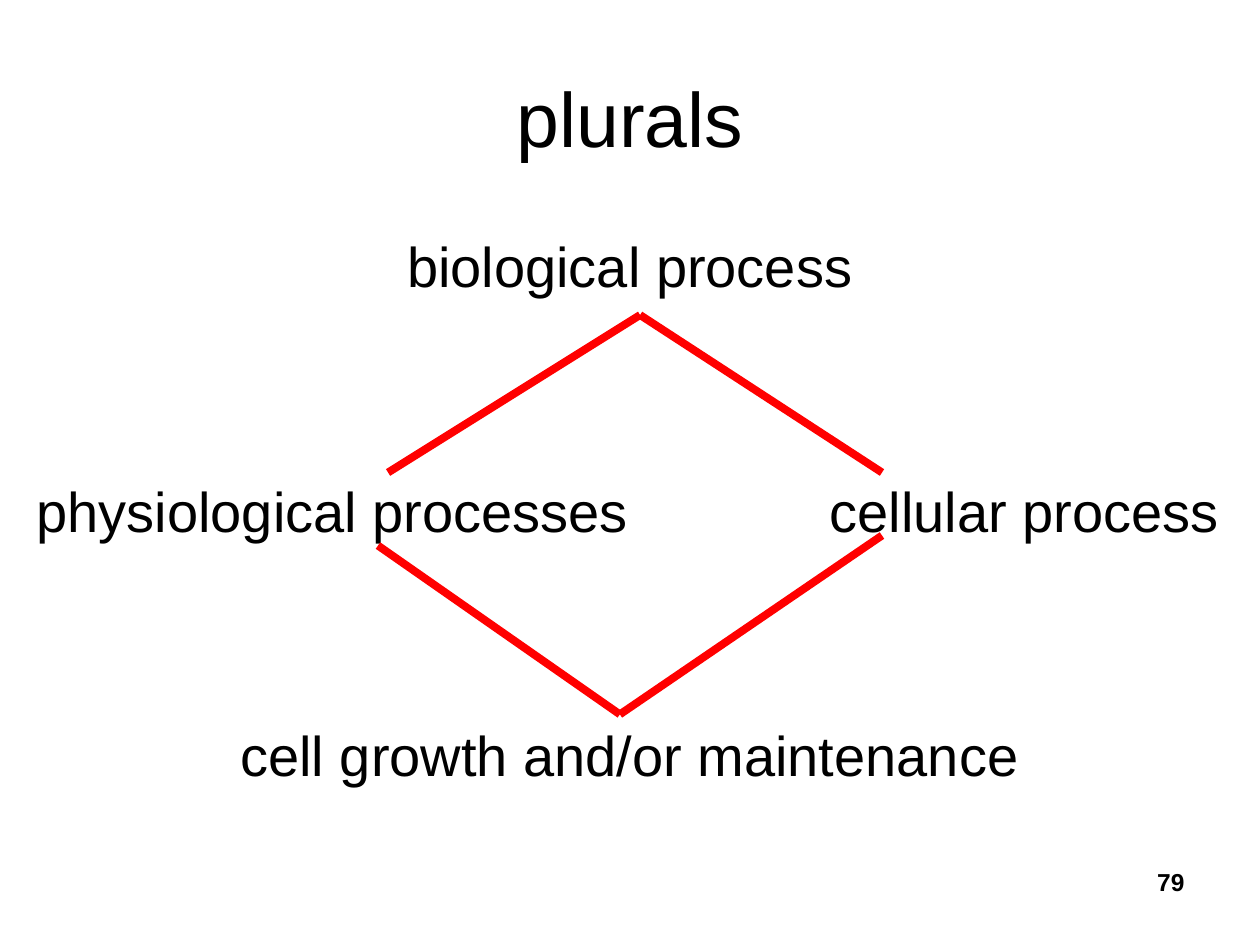
from dataclasses import dataclass

import pptx
import pptx.dml.color
import pptx.enum.shapes
import pptx.enum.text
import pptx.oxml.ns
import pptx.oxml.xmlchemy
import pptx.util
from pptx.util import Inches

BLACK = pptx.dml.color.RGBColor(0x00, 0x00, 0x00)
RED = pptx.dml.color.RGBColor(0xFF, 0x00, 0x00)
WHITE = pptx.dml.color.RGBColor(0xFF, 0xFF, 0xFF)
ALIGN = pptx.enum.text.PP_ALIGN
ANCHOR = pptx.enum.text.MSO_ANCHOR

FIRST_ROW = 1.79
ROW_STEP = 1.94


@dataclass
class Term:
    text: str
    center: float
    row: int
    width: float


@dataclass
class Edge:
    start: tuple[float, float]
    end: tuple[float, float]


TERMS = [
    Term("biological process", 5, 0, 4.5),
    Term("physiological processes", 2.64, 1, 5.2),
    Term("cellular process", 8.13, 1, 3.6),
    Term("cell growth and/or maintenance", 5, 2, 7),
]

TOP = (5.08, 2.5)
BOTTOM = (4.92, 5.67)
EDGES = [
    Edge(BOTTOM, (3, 4.33)),
    Edge(TOP, (3.08, 3.75)),
    Edge(TOP, (7, 3.75)),
    Edge((7, 4.25), BOTTOM),
]


def place(box, left: float, top: float, width: float, height: float):
    box.left, box.top = Inches(left), Inches(top)
    box.width, box.height = Inches(width), Inches(height)


def write(box, text: str, *, size: float, align=ALIGN.CENTER, anchor=ANCHOR.TOP,
          bold: bool = False):
    frame = box.text_frame
    frame.word_wrap = True
    frame.auto_size = pptx.enum.text.MSO_AUTO_SIZE.NONE
    frame.vertical_anchor = anchor
    frame.margin_left = frame.margin_right = Inches(0.1)
    frame.margin_top = frame.margin_bottom = Inches(0.05)
    paragraph = frame.paragraphs[0]
    paragraph.alignment = align
    span = paragraph.add_run()
    span.text = text
    span.font.name = "Arial"
    span.font.size = pptx.util.Pt(size)
    span.font.bold = bold
    span.font.color.rgb = BLACK


def add_text(page, text: str, left: float, top: float, width: float, height: float,
             **text_format):
    box = page.shapes.add_textbox(0, 0, 0, 0)
    place(box, left, top, width, height)
    write(box, text, **text_format)


def draw_term(page, term: Term):
    add_text(page, term.text, term.center - term.width / 2,
             FIRST_ROW + term.row * ROW_STEP, term.width, 0.62, size=32)


def draw_edge(page, edge: Edge):
    line = page.shapes.add_connector(
        pptx.enum.shapes.MSO_CONNECTOR.STRAIGHT,
        *(Inches(value) for value in edge.start + edge.end))
    line.line.color.rgb = RED
    line.line.width = pptx.util.Pt(4.5)
    properties = line._element.spPr
    properties.append(pptx.oxml.xmlchemy.OxmlElement("a:effectLst"))


def main():
    deck = pptx.Presentation()
    deck.slide_width, deck.slide_height = Inches(10), Inches(7.5)
    page = deck.slides.add_slide(deck.slide_layouts.get_by_name("Title Only"))
    page.background.fill.solid()
    page.background.fill.fore_color.rgb = WHITE

    title = page.shapes.title
    place(title, 0.5, 0.3, 9, 1.25)
    write(title, "plurals", size=44, anchor=ANCHOR.MIDDLE)

    for term in TERMS:
        draw_term(page, term)
    for edge in EDGES:
        draw_edge(page, edge)
    add_text(page, "79", 7.17, 6.83, 2.33, 0.52, size=14, align=ALIGN.RIGHT, bold=True)

    deck.save("out.pptx")


if __name__ == "__main__":
    main()
